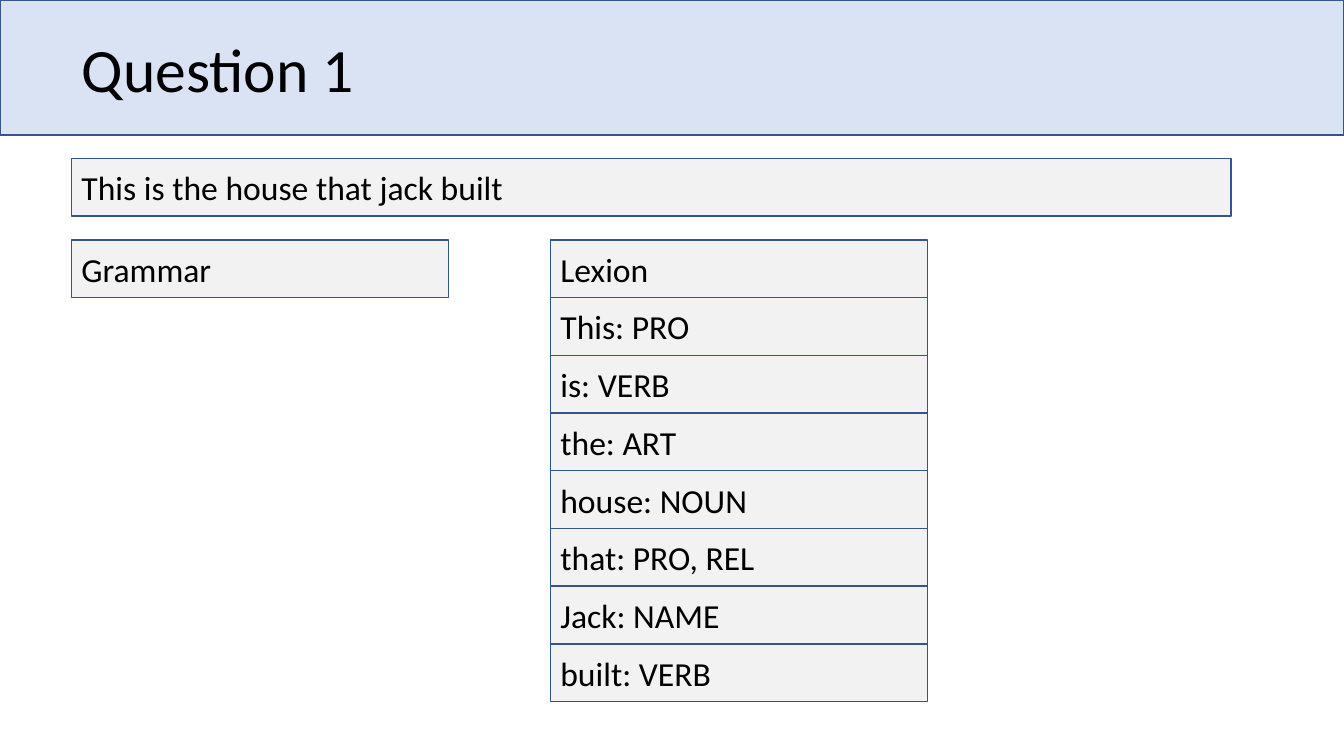
import pptx
import pptx.dml.color
import pptx.enum.shapes
import pptx.enum.text
import pptx.util

SLIDE_WIDTH, SLIDE_HEIGHT = 13.33, 7.5
LEFT_COLUMN, RIGHT_COLUMN = 0.71, 5.46
COLUMN_WIDTH, FULL_WIDTH = 3.74, 11.5
SENTENCE_TOP, LISTS_TOP = 1.57, 2.38
ROW_HEIGHT = (6.96 - LISTS_TOP) / 8
LEXICON = [
    "Lexion",
    "This: PRO",
    "is: VERB",
    "the: ART",
    "house: NOUN",
    "that: PRO, REL",
    "Jack: NAME",
    "built: VERB",
]


def color(hex_string):
    return pptx.dml.color.RGBColor.from_string(hex_string)


def inches(*lengths):
    return [pptx.util.Inches(length) for length in lengths]


def format_text(shape, text, size):
    frame = shape.text_frame
    frame.text = text
    frame.word_wrap = True
    frame.vertical_anchor = pptx.enum.text.MSO_ANCHOR.MIDDLE
    paragraph = frame.paragraphs[0]
    paragraph.alignment = pptx.enum.text.PP_ALIGN.LEFT
    paragraph.font.name = "Calibri"
    paragraph.font.size = pptx.util.Pt(size)
    paragraph.font.color.rgb = color("000000")
    return paragraph


def add_box(slide, left, top, width, height, fill):
    rectangle = pptx.enum.shapes.MSO_SHAPE.RECTANGLE
    shape = slide.shapes.add_shape(rectangle, *inches(left, top, width, height))
    shape.shadow.inherit = False
    shape.fill.solid()
    shape.fill.fore_color.rgb = color(fill)
    shape.line.color.rgb = color("325491")
    shape.line.width = pptx.util.Pt(1)
    return shape


def add_title(slide, text):
    band = add_box(slide, 0, 0, SLIDE_WIDTH, 1.34, "DAE3F3")
    title = slide.shapes.title
    title.left, title.top, title.width, title.height = inches(
        LEFT_COLUMN, -0.01, FULL_WIDTH, 1.45
    )
    format_text(title, text, 44).line_spacing = 0.9
    band.element.addnext(title.element)


def add_rows(slide, left, top, width, texts):
    for row, text in enumerate(texts):
        box = add_box(slide, left, top + row * ROW_HEIGHT, width, ROW_HEIGHT, "F2F2F2")
        format_text(box, text, 24)


def main():
    presentation = pptx.Presentation()
    presentation.slide_width, presentation.slide_height = inches(SLIDE_WIDTH, SLIDE_HEIGHT)
    slide = presentation.slides.add_slide(presentation.slide_layouts[5])
    add_title(slide, "Question 1")
    add_rows(slide, LEFT_COLUMN, LISTS_TOP, COLUMN_WIDTH, ["Grammar"])
    add_rows(slide, RIGHT_COLUMN, LISTS_TOP, COLUMN_WIDTH, LEXICON)
    add_rows(slide, LEFT_COLUMN, SENTENCE_TOP, FULL_WIDTH, ["This is the house that jack built"])
    presentation.save("out.pptx")


if __name__ == "__main__":
    main()
